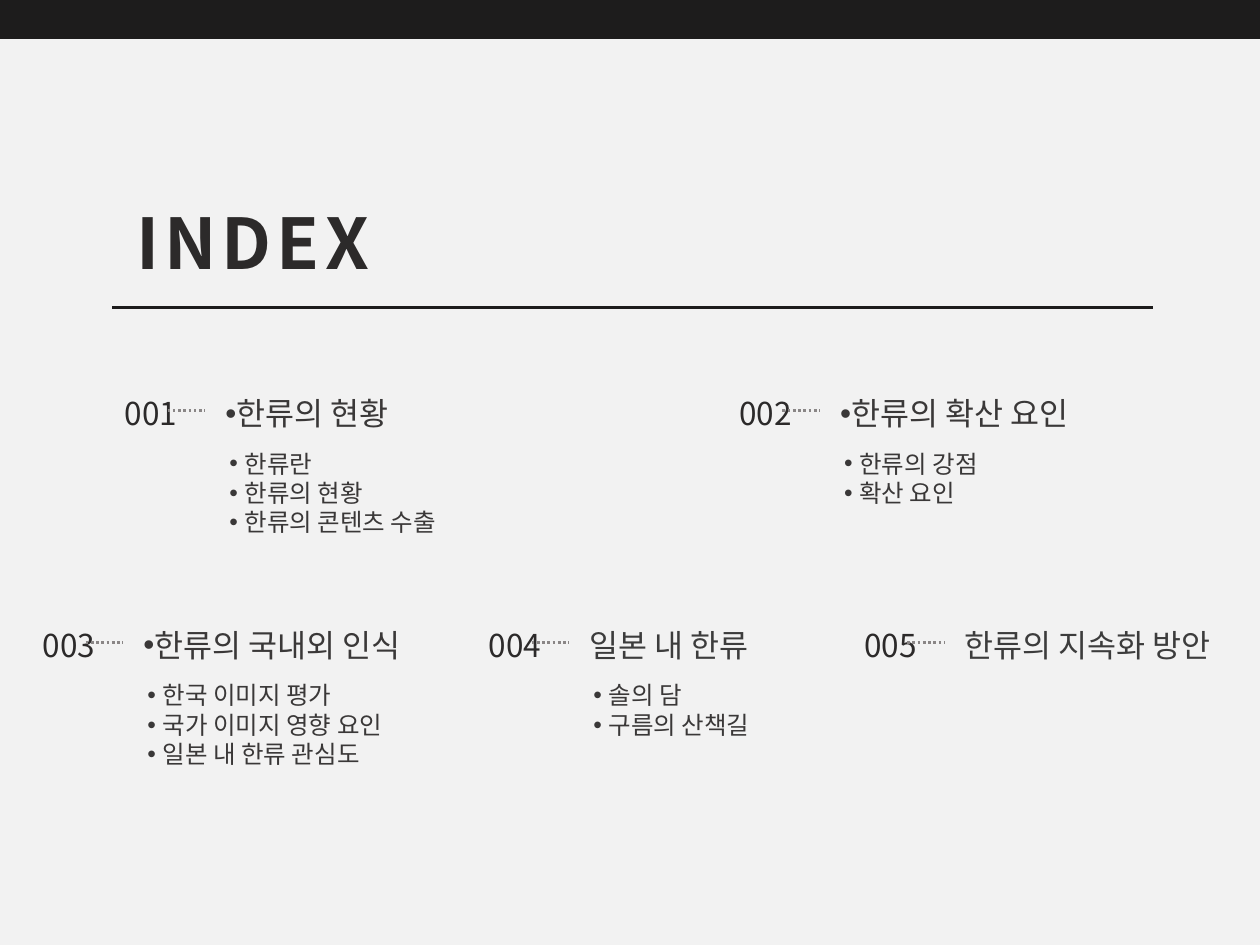
from lxml import etree
from pptx import Presentation
from pptx.dml.color import RGBColor
from pptx.enum.dml import MSO_LINE
from pptx.enum.shapes import MSO_CONNECTOR, MSO_SHAPE
from pptx.enum.text import MSO_ANCHOR, MSO_AUTO_SIZE, PP_ALIGN
from pptx.oxml.ns import qn
from pptx.util import Inches, Pt

FONT = "Noto Sans CJK KR"
INK = "1D1C1C"
NUMBER_INK = "2C2A2A"
BODY_INK = "3A3838"


def write(holder, box, lines, size, color, bold=False, bullet=False, hang=0, spacing=0):
    """Place a text holder at box (inches) and fill it with formatted paragraphs."""
    holder.left, holder.top, holder.width, holder.height = map(Inches, box)
    frame = holder.text_frame
    frame.text = "\n".join(lines)
    frame.word_wrap = True
    frame.auto_size = MSO_AUTO_SIZE.NONE
    frame.vertical_anchor = MSO_ANCHOR.TOP
    for paragraph in frame.paragraphs:
        properties = paragraph._p.get_or_add_pPr()
        properties.set("marL", str(Inches(hang)))
        properties.set("indent", str(-Inches(hang)))
        paragraph.alignment = PP_ALIGN.LEFT
        paragraph.line_spacing = 1.0
        paragraph.space_before = Pt(0)
        if bullet:
            etree.SubElement(properties, qn("a:buFont")).set("typeface", "Arial")
            etree.SubElement(properties, qn("a:buChar")).set("char", "•")
        else:
            etree.SubElement(properties, qn("a:buNone"))
        font = paragraph.font
        font.name, font.size, font.bold = FONT, Pt(size), bold
        font.color.rgb = RGBColor.from_string(color)
        defaults = properties.find(qn("a:defRPr"))
        defaults.find(qn("a:latin")).addnext(
            etree.Element(qn("a:ea"), typeface=FONT))
        if spacing:
            defaults.set("spc", str(spacing * 100))


def draw_line(left, right, y, color):
    line = slide.shapes.add_connector(
        MSO_CONNECTOR.STRAIGHT, Inches(left), Inches(y), Inches(right), Inches(y))
    line.line.color.rgb = RGBColor.from_string(color)
    line.line.width = Pt(1.5)
    etree.SubElement(line._element.spPr, qn("a:effectLst"))
    return line


presentation = Presentation()
presentation.slide_width = Inches(10)
presentation.slide_height = Inches(7.5)
slide = presentation.slides.add_slide(
    presentation.slide_layouts.get_by_name("Comparison"))
slide.background.fill.solid()
slide.background.fill.fore_color.rgb = RGBColor.from_string("F2F2F2")

top_band = slide.shapes.add_shape(
    MSO_SHAPE.RECTANGLE, 0, 0, presentation.slide_width, Inches(0.31))
top_band.shadow.inherit = False
top_band.fill.solid()
top_band.fill.fore_color.rgb = RGBColor.from_string(INK)
top_band.line.fill.background()

write(slide.shapes.title, (0.98, 1.53, 4.54, 0.77), ["INDEX"], 40, NUMBER_INK,
      bold=True, spacing=3)
draw_line(0.89, 9.15, 2.44, INK)

# left, top, number, heading, heading colour, heading bullet, topics
chapters = [
    (0.89, 3.08, "001", "한류의 현황", BODY_INK, True,
     ["한류란", "한류의 현황", "한류의 콘텐츠 수출"]),
    (5.77, 3.08, "002", "한류의 확산 요인", BODY_INK, True,
     ["한류의 강점", "확산 요인"]),
    (0.24, 4.92, "003", "한류의 국내외 인식", BODY_INK, True,
     ["한국 이미지 평가", "국가 이미지 영향 요인", "일본 내 한류 관심도"]),
    (3.78, 4.92, "004", "일본 내 한류", "3C3C3C", False,
     ["솔의 담", "구름의 산책길"]),
    (6.76, 4.92, "005", "한류의 지속화 방안", "3C3C3C", False, []),
]
topic_holders = iter(list(slide.placeholders)[1:])

for left, top, number, heading, heading_ink, bulleted, topics in chapters:
    write(slide.shapes.add_textbox(0, 0, 0, 0), (left, top, 0.71, 0.4),
          [number], 18, NUMBER_INK)
    write(slide.shapes.add_textbox(0, 0, 0, 0), (left + 0.8, top, 2.58, 0.4),
          [heading], 18, heading_ink, bullet=bulleted)
    leader = draw_line(left + 0.44, left + 0.74, top + 0.18, "8A8686")
    leader.line.dash_style = MSO_LINE.ROUND_DOT
    if topics:
        write(next(topic_holders), (left + 0.83, top + 0.43, 2.27, 0.81),
              topics, 14, BODY_INK, bullet=True, hang=0.12)

presentation.save("out.pptx")
